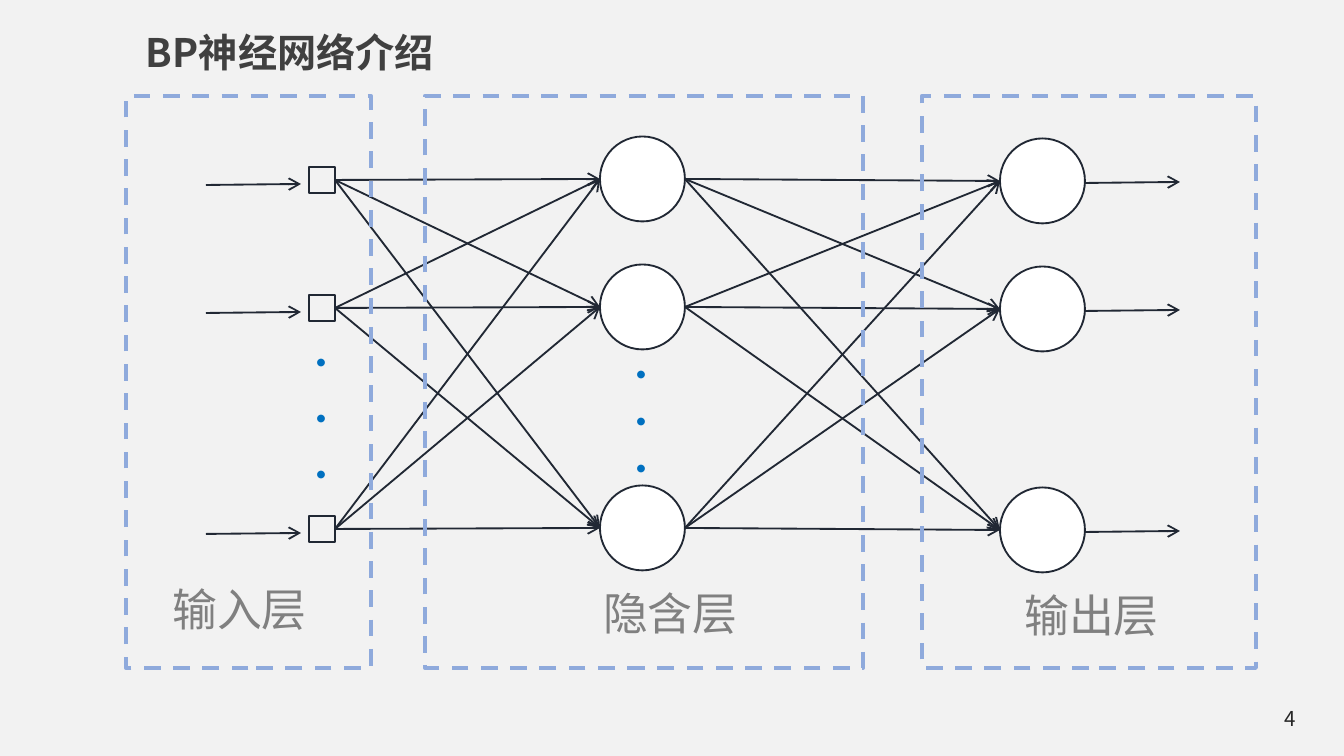
"""Build the slide that introduces the layers of a BP neural network."""
import dataclasses
import itertools

import lxml.etree
import pptx
import pptx.dml.color
import pptx.enum.dml
import pptx.enum.shapes
import pptx.enum.text
import pptx.oxml.ns
import pptx.util

PX = 914400 / 134.4
ROWS = (0, 128, 349)
SHAPE = pptx.enum.shapes.MSO_SHAPE
ALIGN = pptx.enum.text.PP_ALIGN
ANCHOR = pptx.enum.text.MSO_ANCHOR


@dataclasses.dataclass(frozen=True)
class Theme:
    """Colours, fonts and type sizes of the slide."""
    back: str = "F2F2F2"
    ink: str = "212834"
    node: str = "FFFFFF"
    panel: str = "8FAADC"
    sans: str = "Noto Sans CJK SC"
    dots: dict = dataclasses.field(default_factory=lambda: dict(
        name="Calibri", size=28, color="0070C0", bold=True))
    title: dict = dataclasses.field(default_factory=lambda: dict(
        size=21, color="404040", bold=True))
    label: dict = dataclasses.field(default_factory=lambda: dict(
        size=24, color="808080"))
    number: dict = dataclasses.field(default_factory=lambda: dict(
        size=11, color="262626"))


THEME = Theme()


def emu(*px):
    """Turn lengths in px into EMU."""
    return [pptx.util.Emu(round(v * PX)) for v in px]


def rgb(value):
    """Return the colour for a hex value."""
    return pptx.dml.color.RGBColor.from_string(value)


def add_text(s, box, lines, style, frame=None, para=None):
    """Add a text box with one paragraph for each line."""
    tf = s.shapes.add_textbox(*emu(*box)).text_frame
    for key, value in {"word_wrap": True, **(frame or {})}.items():
        setattr(tf, key, value)
    font = {"name": THEME.sans, **style}
    color = font.pop("color")
    font["size"] = pptx.util.Pt(font["size"])
    for i, line in enumerate(lines):
        p = tf.add_paragraph() if i else tf.paragraphs[0]
        for key, value in (para or {}).items():
            setattr(p, key, value)
        r = p.add_run()
        r.text = line
        for key, value in font.items():
            setattr(r.font, key, value)
        r.font.color.rgb = rgb(color)
        ea = lxml.etree.SubElement(r.font._element, pptx.oxml.ns.qn("a:ea"))
        ea.set("typeface", font["name"])


def add_outline(s, kind, box, color, width, fill=None, dash=None):
    """Add a preset shape with an outline and an optional fill."""
    sp = s.shapes.add_shape(kind, *emu(*box))
    sp.shadow.inherit = False
    if fill:
        sp.fill.solid()
        sp.fill.fore_color.rgb = rgb(fill)
    else:
        sp.fill.background()
    sp.line.color.rgb = rgb(color)
    for key, value in dict(width=pptx.util.Pt(width), dash_style=dash).items():
        setattr(sp.line, key, value)


def add_arrow(s, start, end):
    """Add a thin line with an open arrowhead at its end."""
    line = s.shapes.add_connector(
        pptx.enum.shapes.MSO_CONNECTOR.STRAIGHT, *emu(*start, *end))
    line.line.color.rgb = rgb(THEME.ink)
    line.line.width = pptx.util.Pt(1)
    qn = pptx.oxml.ns.qn
    lxml.etree.SubElement(line.line._get_or_add_ln(), qn("a:tailEnd"), type="arrow")
    lxml.etree.SubElement(line._element.spPr, qn("a:effectLst"))


def add_links(s, start, end):
    """Link every node of one layer to every node of the next."""
    (x1, y1), (x2, y2) = start, end
    for a, b in itertools.product(ROWS, repeat=2):
        add_arrow(s, (x1, y1 + a), (x2, y2 + b))


def add_layer(s, box, kind, node, label, name, fill=None):
    """Draw a dashed panel with its column of nodes and its name."""
    x, y, w, h = box
    dx, cy, size = node
    for row in ROWS:
        add_outline(s, kind, (x + dx, y + cy + row - size / 2, size, size),
                    THEME.ink, 1, fill)
    add_text(s, (x + label[0], y + label[1], 163, 67), [name], THEME.label,
             {"word_wrap": False})
    add_outline(s, SHAPE.RECTANGLE, box, THEME.panel, 2.25,
                dash=pptx.enum.dml.MSO_LINE.DASH)


def add_signals(s, x, y):
    """Draw one short arrow for each row, entering or leaving the network."""
    for row in ROWS:
        add_arrow(s, (x, y + row), (x + 95, y + row - 1))


def add_dots(s, box, spacing):
    """Draw the column of dots that stands for further nodes."""
    add_text(s, box, [".", ".", "."], THEME.dots, {"word_wrap": False},
             {"line_spacing": pptx.util.Pt(spacing)})


def add_header(s, box):
    """Write the title of the slide."""
    side, top = emu(9, 5)
    add_text(s, box, ["BP神经网络介绍"], THEME.title,
             dict(margin_left=side, margin_right=side,
                  margin_top=top, margin_bottom=top),
             {"alignment": ALIGN.CENTER})


def add_network(s, box):
    """Draw the three layers and their links inside the box."""
    x, y, w, h = box
    add_links(s, (x + 209, y + 84), (x + 474, y + 83))
    add_links(s, (x + 559, y + 83), (x + 874, y + 85))
    add_dots(s, (x + 175, y + 218, 42, 183), 30)
    add_dots(s, (x + 495, y + 240, 46, 160), 25)
    add_layer(s, (x, y, 245, h), SHAPE.RECTANGLE, (183, 84, 26),
              (33, 479), "输入层")
    add_layer(s, (x + 299, y, 438, h), SHAPE.OVAL, (175, 83, 85),
              (165, 483), "隐含层", THEME.node)
    add_layer(s, (x + 796, y, w - 796, h), SHAPE.OVAL, (78, 85, 85),
              (89, 485), "输出层", THEME.node)
    add_signals(s, x + 80, y + 89)
    add_signals(s, x + 959, y + 87)


def add_number(s, box):
    """Write the page number."""
    add_text(s, box, ["4"], THEME.number, {"vertical_anchor": ANCHOR.MIDDLE},
             {"alignment": ALIGN.RIGHT})


def main():
    """Build the slide and save it."""
    prs = pptx.Presentation()
    prs.slide_width, prs.slide_height = emu(1344, 756)
    s = prs.slides.add_slide(prs.slide_layouts[6])
    s.background.fill.solid()
    s.background.fill.fore_color.rgb = rgb(THEME.back)
    add_number(s, (1007, 698, 302, 40))
    add_header(s, (98, 23, 384, 58))
    add_network(s, (126, 96, 1130, 572))
    prs.save("out.pptx")


if __name__ == "__main__":
    main()
